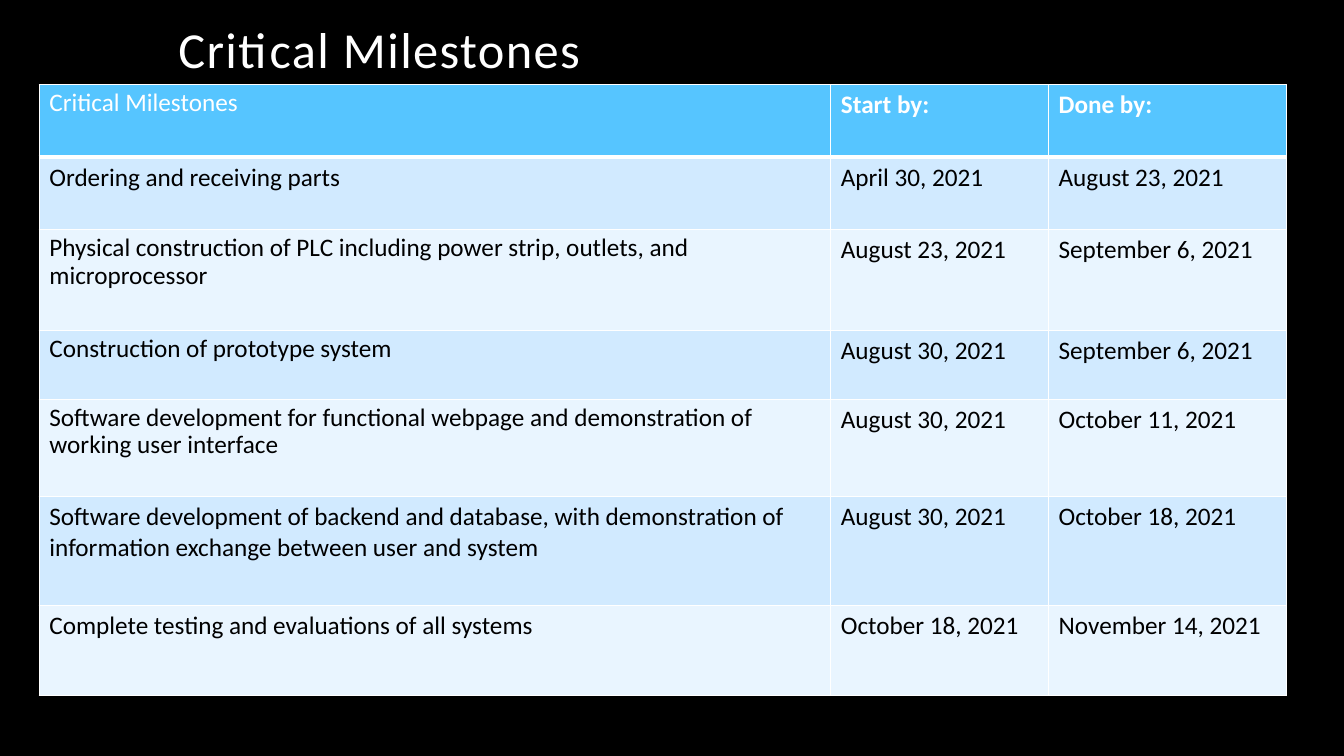
from lxml.etree import SubElement
from pptx import Presentation
from pptx.dml.color import RGBColor
from pptx.enum.text import MSO_ANCHOR as Anchor
from pptx.oxml.ns import qn
from pptx.util import Inches, Pt

FONT = "Calibri"
COLORS = {
    "background": "000000",
    "light": "FFFFFF",
    "dark": "000000",
    "header": "56C5FF",
    "odd": "D1EAFF",
    "even": "E9F5FF",
}
COLUMN_WIDTHS = [7.85, 2.16, 2.36]
ROW_HEIGHTS = [0.72, 0.72, 1, 0.68, 0.97, 1.08, 0.89]
TIGHT_ROWS = {0, 2, 3, 4}  # rows whose first cell has tighter lines
MILESTONES = [
    ("Critical Milestones", "Start by:", "Done by:"),
    ("Ordering and receiving parts", "April 30, 2021", "August 23, 2021"),
    ("Physical construction of PLC including power strip, outlets, and microprocessor",
     "August 23, 2021", "September 6, 2021"),
    ("Construction of prototype system", "August 30, 2021", "September 6, 2021"),
    ("Software development for functional webpage and demonstration of working user interface",
     "August 30, 2021", "October 11, 2021"),
    ("Software development of backend and database, with demonstration of "
     "information exchange between user and system",
     "August 30, 2021", "October 18, 2021"),
    ("Complete testing and evaluations of all systems",
     "October 18, 2021", "November 14, 2021"),
]


def color(name):
    return RGBColor.from_string(COLORS[name])


def write_text(frame, text, size=18, ink="dark", bold=False, line_spacing=1.0, tracking=None):
    frame.word_wrap = True
    para = frame.paragraphs[0]
    para.line_spacing = line_spacing
    span = para.add_run()
    span.text = text
    span.font.name = FONT
    span.font.size = Pt(size)
    span.font.bold = bold
    span.font.color.rgb = color(ink)
    if tracking:
        span.font._element.set("spc", str(tracking * 100))


def add_title(page, text):
    box = page.shapes.add_textbox(Inches(1.67), Inches(0.08), Inches(9.98), Inches(0.76))
    box.text_frame.vertical_anchor = Anchor.BOTTOM
    write_text(box.text_frame, text, size=36, ink="light", line_spacing=0.9, tracking=1)


def set_borders(cell, **widths):
    properties = cell._tc.get_or_add_tcPr()
    for side in "LRTB":
        line = SubElement(properties, qn(f"a:ln{side}"), w=str(Pt(widths.get(side, 1))))
        fill = SubElement(line, qn("a:solidFill"))
        SubElement(fill, qn("a:srgbClr"), val=COLORS["light"])


def add_milestone_table(page):
    frame = page.shapes.add_table(
        len(ROW_HEIGHTS), len(COLUMN_WIDTHS), Inches(0.39), Inches(0.84),
        Inches(sum(COLUMN_WIDTHS)), Inches(sum(ROW_HEIGHTS)))
    table = frame.table
    for column, width in zip(table.columns, COLUMN_WIDTHS):
        column.width = Inches(width)
    for row, height in zip(table.rows, ROW_HEIGHTS):
        row.height = Inches(height)

    for r, texts in enumerate(MILESTONES):
        is_header = r == 0
        band = "header" if is_header else "odd" if r % 2 else "even"
        for c, text in enumerate(texts):
            cell = table.cell(r, c)
            # Borders come before the fill in the cell properties
            set_borders(cell, B=3 if is_header else 1, T=3 if r == 1 else 1)
            cell.fill.solid()
            cell.fill.fore_color.rgb = color(band)
            write_text(cell.text_frame, text,
                       ink="light" if is_header else "dark",
                       bold=is_header and c > 0,
                       line_spacing=0.9 if c == 0 and r in TIGHT_ROWS else 1.0)


def main():
    deck = Presentation()
    deck.slide_width, deck.slide_height = Inches(13.33), Inches(7.5)
    page = deck.slides.add_slide(deck.slide_layouts[6])
    page.background.fill.solid()
    page.background.fill.fore_color.rgb = color("background")

    add_title(page, "Critical Milestones")
    add_milestone_table(page)
    deck.save("out.pptx")


if __name__ == "__main__":
    main()
